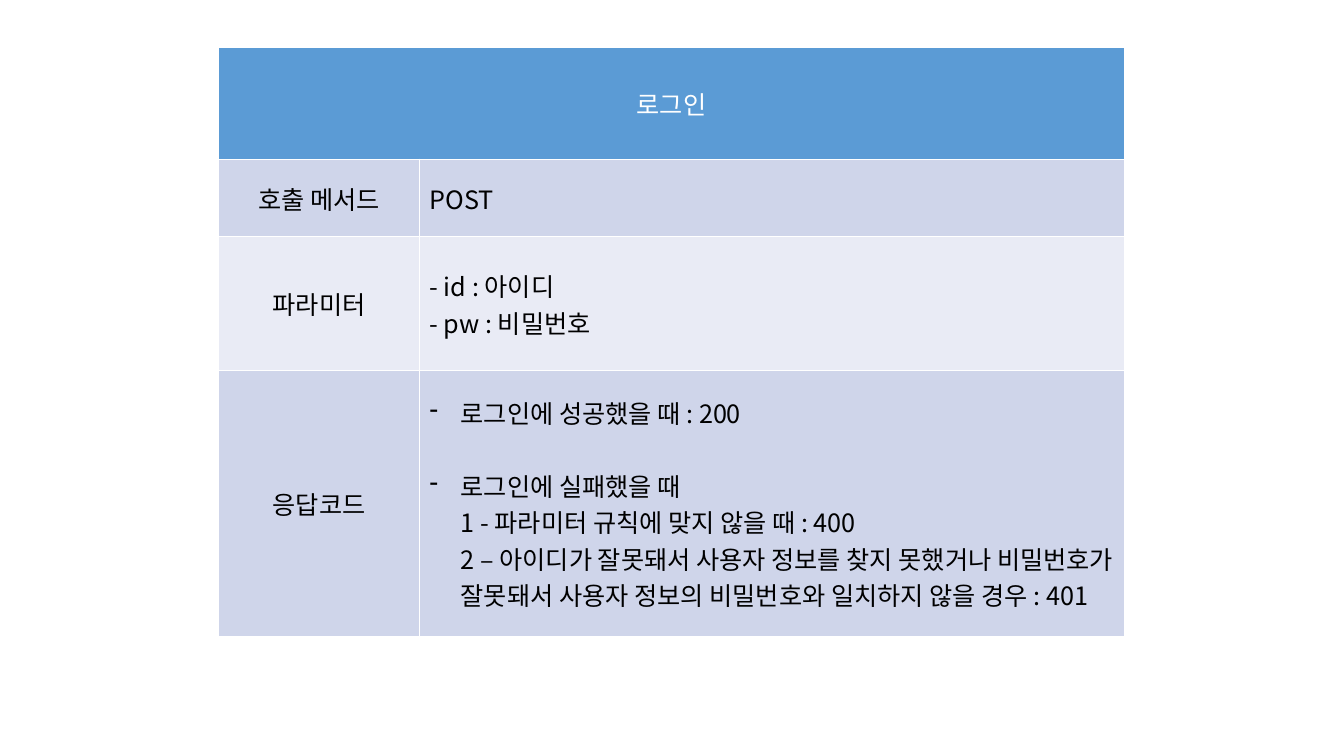
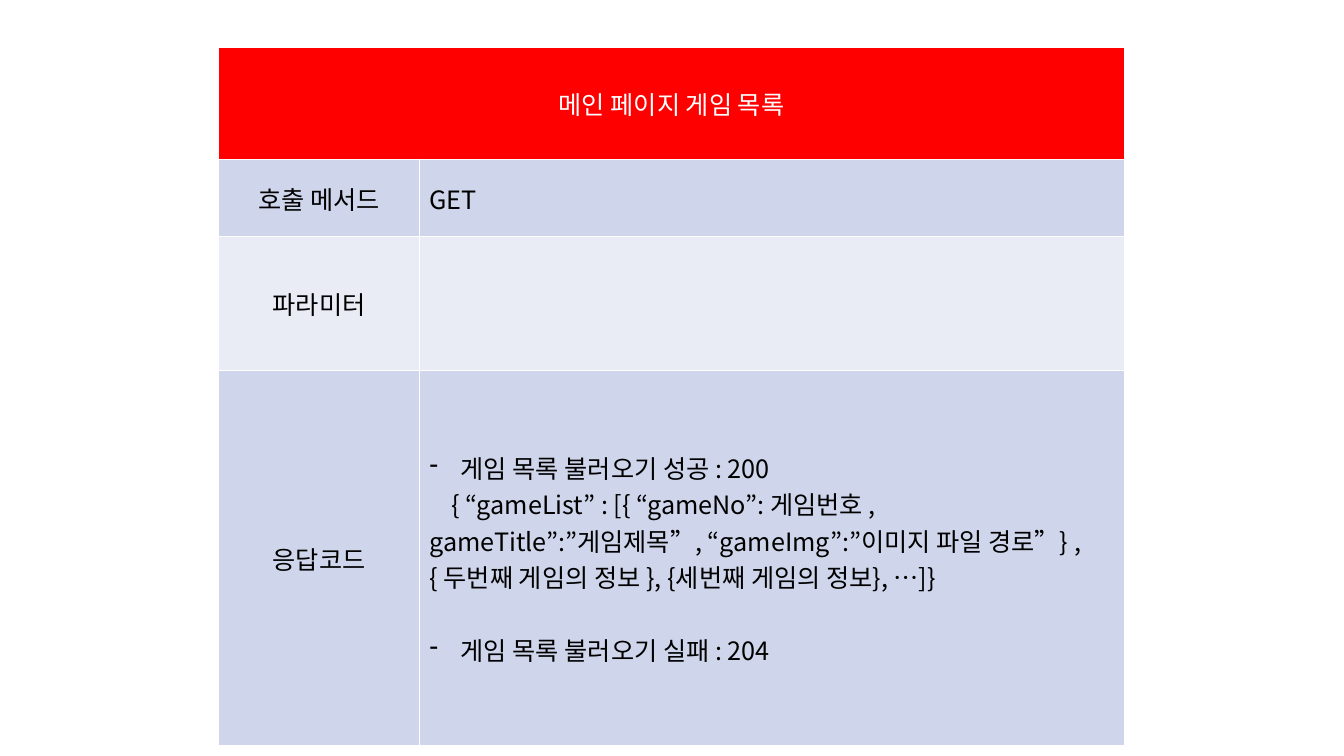
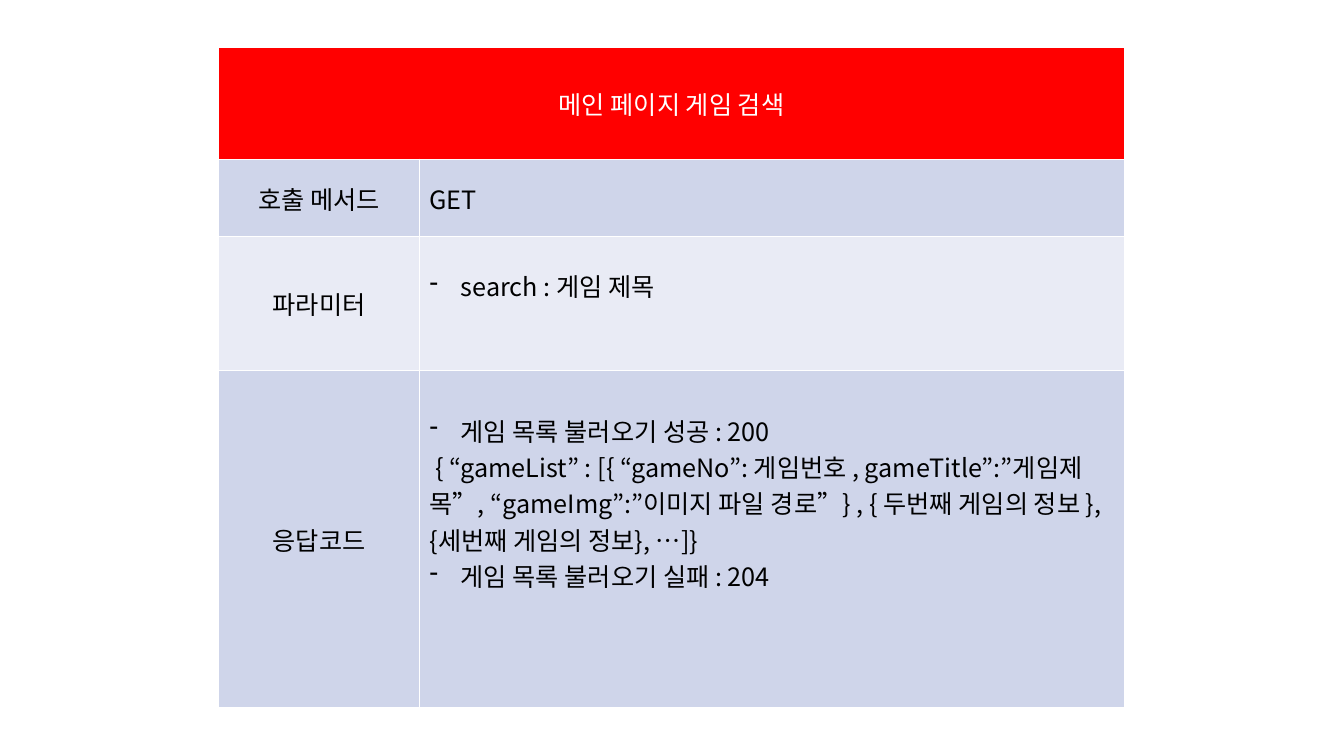
from dataclasses import dataclass

from lxml import etree
from pptx import Presentation
from pptx.dml.color import RGBColor
from pptx.enum.text import MSO_ANCHOR, PP_ALIGN
from pptx.oxml.ns import qn
from pptx.util import Inches, Pt

CENTER, LEFT = PP_ALIGN.CENTER, PP_ALIGN.LEFT
MIDDLE = MSO_ANCHOR.MIDDLE

COLORS = {
    "login": "5B9BD5",
    "main_page": "FF0000",
    "band_dark": "CFD5EA",
    "band_light": "E9EBF5",
    "header_text": "FFFFFF",
    "text": "000000",
}
FONT = "Noto Sans CJK KR"
FONT_SIZE = 18
LINE = 0.36  # height of one text line, inches
LINE_GAP = Pt(26)
PADDING = 0.05
BULLET_INDENT = 0.31

TABLE_BOX = (2.17, 0.47)
COLUMN_WIDTHS = (1.99, 6.99)
HEADER_HEIGHT, METHOD_HEIGHT, PARAMETER_HEIGHT = 1.11, 0.77, 1.33

GAME_LIST = (
    "{ “gameList” : [{ “gameNo”: 게임번호 , gameTitle”:”게임제목”, "
    "“gameImg”:”이미지 파일 경로”} , { 두번째 게임의 정보 }, {세번째 게임의 정보}, …]}"
)
LIST_SUCCESS = "게임 목록 불러오기 성공 : 200"
LIST_FAILURE = "게임 목록 불러오기 실패 : 204"


@dataclass
class Line:
    text: str
    bullet: bool = False
    first_indent: float = 0
    gap_before: bool = False


@dataclass
class Endpoint:
    title: str
    header_color: str
    method: str
    parameters: list
    responses: list
    response_height: float
    parameter_lift: int = 0  # text lines kept free below
    response_lift: int = 0


ENDPOINTS = [
    Endpoint(
        "로그인", "login", "POST",
        [Line("- id : 아이디"), Line("- pw : 비밀번호")],
        [
            Line("로그인에 성공했을 때 : 200", bullet=True),
            Line(
                "로그인에 실패했을 때\n"
                "1 - 파라미터 규칙에 맞지 않을 때 : 400\n"
                "2 – 아이디가 잘못돼서 사용자 정보를 찾지 못했거나 "
                "비밀번호가 잘못돼서 사용자 정보의 비밀번호와 일치하지 않을 경우 : 401",
                bullet=True, gap_before=True,
            ),
        ],
        response_height=2.62,
    ),
    Endpoint(
        "메인 페이지 게임 목록", "main_page", "GET",
        [],
        [
            Line(LIST_SUCCESS, bullet=True),
            Line(GAME_LIST, first_indent=0.22),
            Line(LIST_FAILURE, bullet=True, gap_before=True),
        ],
        response_height=3.72,
    ),
    Endpoint(
        "메인 페이지 게임 검색", "main_page", "GET",
        [Line("search : 게임 제목", bullet=True)],
        [
            Line(LIST_SUCCESS, bullet=True),
            Line(GAME_LIST, first_indent=0.06),
            Line(LIST_FAILURE, bullet=True),
        ],
        response_height=3.34, parameter_lift=1, response_lift=2,
    ),
]


def format_paragraph(paragraph, line, color, align):
    paragraph.text = line.text
    paragraph.alignment = align
    if line.gap_before:
        paragraph.space_before = LINE_GAP
    font = paragraph.font
    font.name, font.size, font.bold = FONT, Pt(FONT_SIZE), False
    font.color.rgb = RGBColor.from_string(COLORS[color])

    properties = paragraph._p.pPr
    defaults = properties.find(qn("a:defRPr"))
    etree.SubElement(defaults, qn("a:ea")).set("typeface", FONT)
    if line.bullet:
        properties.set("marL", str(Inches(BULLET_INDENT)))
        properties.set("indent", str(Inches(-BULLET_INDENT)))
        bullet = etree.Element(qn("a:buChar"))
        bullet.set("char", "-")
        defaults.addprevious(bullet)
    elif line.first_indent:
        properties.set("indent", str(Inches(line.first_indent)))


def fill_cell(cell, lines, fill, color="text", align=LEFT, lift=0):
    cell.fill.solid()
    cell.fill.fore_color.rgb = RGBColor.from_string(COLORS[fill])
    cell.vertical_anchor = MIDDLE
    cell.margin_bottom = Inches(PADDING + lift * LINE)
    frame = cell.text_frame
    for index, line in enumerate(lines):
        paragraph = frame.add_paragraph() if index else frame.paragraphs[0]
        format_paragraph(paragraph, line, color, align)


def add_endpoint_table(slide, endpoint, left, top):
    heights = (HEADER_HEIGHT, METHOD_HEIGHT, PARAMETER_HEIGHT, endpoint.response_height)
    table = slide.shapes.add_table(
        len(heights), len(COLUMN_WIDTHS), Inches(left), Inches(top),
        Inches(sum(COLUMN_WIDTHS)), Inches(sum(heights)),
    ).table
    for column, width in zip(table.columns, COLUMN_WIDTHS):
        column.width = Inches(width)
    for row, height in zip(table.rows, heights):
        row.height = Inches(height)

    header = table.cell(0, 0)
    header.merge(table.cell(0, 1))
    fill_cell(header, [Line(endpoint.title)], endpoint.header_color, "header_text", CENTER)

    rows = [
        ("호출 메서드", [Line(endpoint.method)], "band_dark", 0),
        ("파라미터", endpoint.parameters, "band_light", endpoint.parameter_lift),
        ("응답코드", endpoint.responses, "band_dark", endpoint.response_lift),
    ]
    for index, (label, lines, band, lift) in enumerate(rows, start=1):
        fill_cell(table.cell(index, 0), [Line(label)], band, align=CENTER)
        fill_cell(table.cell(index, 1), lines, band, lift=lift)


def main():
    deck = Presentation()
    deck.slide_width, deck.slide_height = Inches(13.33), Inches(7.5)
    blank_layout = deck.slide_layouts[6]
    for endpoint in ENDPOINTS:
        add_endpoint_table(deck.slides.add_slide(blank_layout), endpoint, *TABLE_BOX)
    deck.save("out.pptx")


if __name__ == "__main__":
    main()
